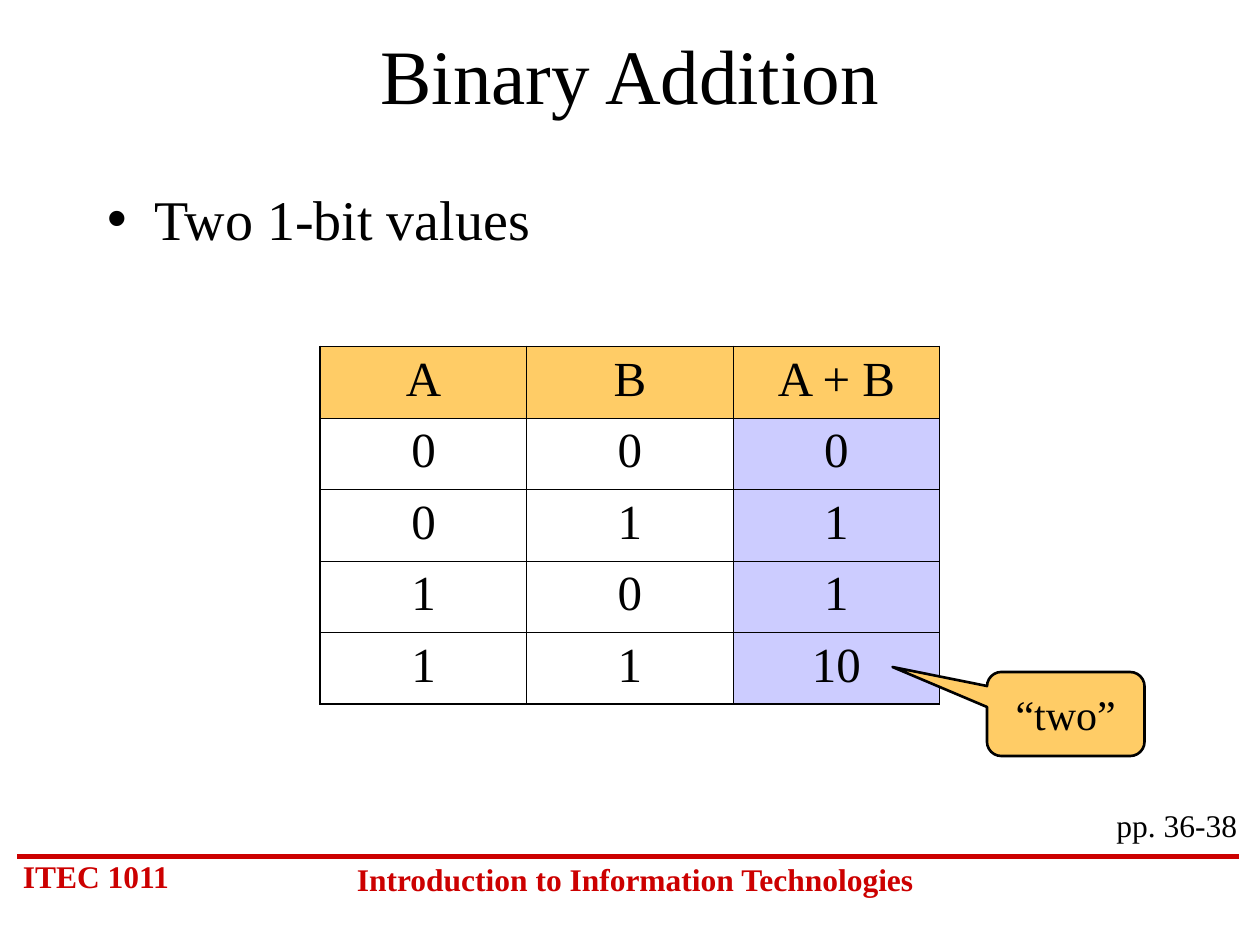
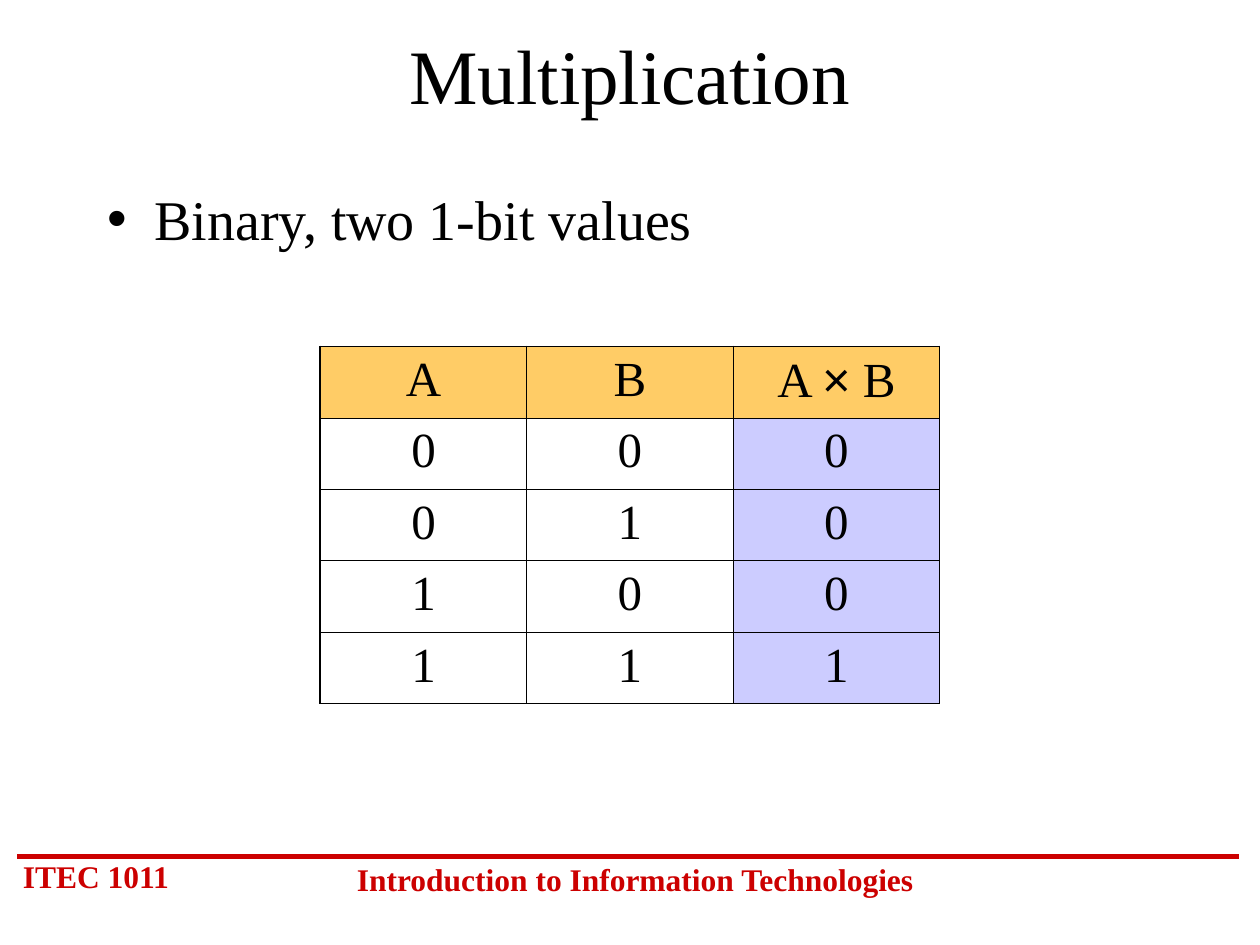
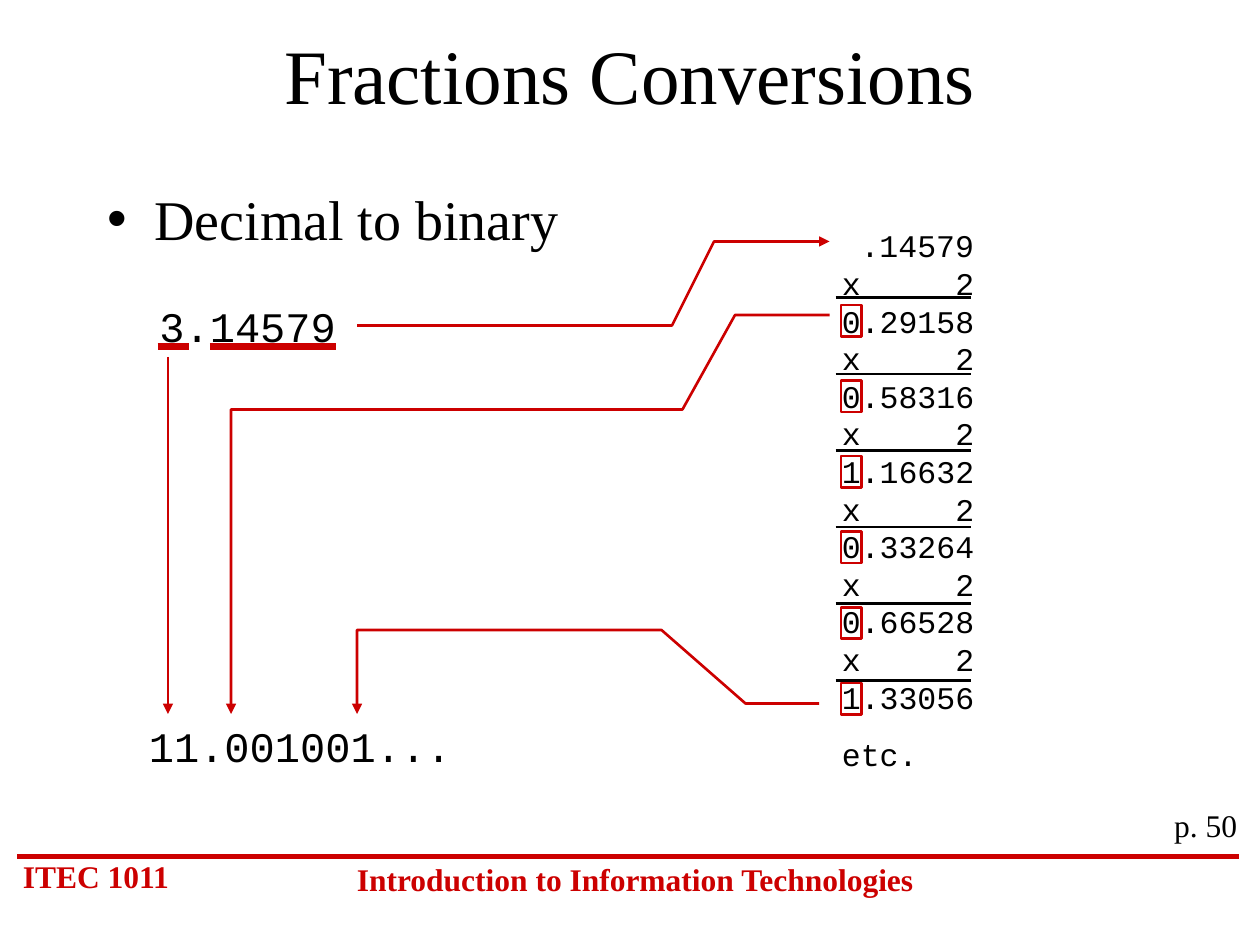
import lxml.etree
import pptx
import pptx.dml.color
import pptx.enum.shapes
import pptx.enum.text
import pptx.oxml.ns
import pptx.util

Pt = pptx.util.Pt
qn = pptx.oxml.ns.qn
ALIGN = pptx.enum.text.PP_ALIGN
SHAPE = pptx.enum.shapes.MSO_SHAPE

# Shared look
BLACK, RED, GOLD, LILAC = "000000", "CC0000", "FFCC66", "CCCCFF"
SERIF, SANS, MONO = "Times New Roman", "Arial", "Courier New"
TITLE = {"name": SERIF, "size": Pt(44)}
BODY = {"name": SERIF, "size": Pt(32)}
CELL = {"name": SERIF, "size": Pt(28), "bold": False}
NOTE = {"name": SERIF, "size": Pt(18)}
FOOTER = {"name": SERIF, "size": Pt(18), "bold": True}
CALLOUT = {"name": SERIF, "size": Pt(24)}
NUMBER = {"name": MONO, "size": Pt(24)}
WORKING = {"name": MONO, "size": Pt(18)}

TITLE_AREA = (54, 12, 612, 60)
BODY_AREA = (54, 102, 612, 324)
PAGES_AREA = (630, 457, 84, 29)
TABLE_AREA = (183, 198, 354, 204)
FOOTER_RULE = ((10, 489.6), (708, 489.6))
FOOTERS = [
    ("ITEC 1011", (6, 486, 108, 29), ALIGN.LEFT),
    ("Introduction to Information Technologies", (192, 488, 342, 29), ALIGN.CENTER),
]

# Slide content
SLIDES = [
    {
        "title": "Binary Addition",
        "bullet": "Two 1-bit values",
        "pages": "pp. 36-38",
        "truth_table": [("A", "B", "A + B"), "000", "011", "101", ("1", "1", "10")],
        "callout": "“two”",
    },
    {
        "title": "Multiplication",
        "bullet": "Binary, two 1-bit values",
        "truth_table": [("A", "B", "A × B"), "000", "010", "100", "111"],
    },
    {
        "title": "Fractions Conversions",
        "bullet": "Decimal to binary",
        "pages": "p. 50",
        "conversion": {
            "decimal": "3.14579",
            "binary": "11.001001...",
            "fraction": "\t.14579",
            "doubling": "x\t2",
            "products": ["0.29158", "0.58316", "1.16632", "0.33264", "0.66528", "1.33056"],
            "ending": "etc.",
        },
    },
]

# Places on the conversion slide
UNDERLINES = [((120, 198), (192, 198)), ((90, 198), (108, 198))]
WHOLE_ARROW = ((96, 204), (96, 408))
FRACTION_ARROWS = [
    [(204, 186), (384, 186), (408, 138), (474, 138)],
    [(474, 180), (420, 180), (390, 234), (132, 234), (132, 408)],
    [(468, 402), (426, 402), (378, 360), (204, 360), (204, 408)],
]
SUM_LEFT, SUM_RIGHT, SUM_TOP, SUM_STEP = 477.5, 555, 170, 43.75
DIGIT_LEFT, DIGIT_TOP, DIGIT_STEP = 480.5, 174.2, 43.2
WORKING_TABS = (10.7, 64.8)


def color(hex_value):
    return pptx.dml.color.RGBColor.from_string(hex_value)


def points(values):
    return [Pt(value) for value in values]


def style(paragraph, font_values, hex_value=BLACK, align=ALIGN.LEFT):
    paragraph.alignment = align
    for run in paragraph.runs:
        for name, value in font_values.items():
            setattr(run.font, name, value)
        run.font.color.rgb = color(hex_value)


def set_line(shape, hex_value, width, arrow=False):
    shape.line.color.rgb = color(hex_value)
    shape.line.width = Pt(width)
    if arrow:
        outline = shape.element.spPr.find(qn("a:ln"))
        lxml.etree.SubElement(outline, qn("a:tailEnd"), type="triangle")


def add_text(slide, text, area, font_values, hex_value=BLACK, align=ALIGN.LEFT):
    box = slide.shapes.add_textbox(*points(area))
    box.text_frame.word_wrap = True
    paragraph = box.text_frame.paragraphs[0]
    paragraph.text = text
    style(paragraph, font_values, hex_value, align)
    return box


def add_line(slide, ends, hex_value, width, arrow=False):
    start, end = ends
    line = slide.shapes.add_connector(
        pptx.enum.shapes.MSO_CONNECTOR.STRAIGHT, *points(start + end))
    set_line(line, hex_value, width, arrow)
    lxml.etree.SubElement(line.element.spPr, qn("a:effectLst"))
    return line


def add_bent_arrow(slide, corners):
    start, *rest = [points(corner) for corner in corners]
    builder = slide.shapes.build_freeform(*start)
    builder.add_line_segments(rest, close=False)
    arrow = builder.convert_to_shape()
    arrow.shadow.inherit = False
    arrow.fill.background()
    set_line(arrow, RED, 1.5, arrow=True)


def move_footer_to_layout(slide):
    layout = slide.slide_layout
    for placeholder in list(layout.placeholders):
        if placeholder.placeholder_format.idx >= 10:
            layout.shapes.element.remove(placeholder.element)
    parts = [add_line(slide, FOOTER_RULE, RED, 3)]
    parts += [add_text(slide, text, area, FOOTER, RED, align)
              for text, area, align in FOOTERS]
    for part in parts:
        layout.shapes.element.append(part.element)


def fill_placeholder(placeholder, text, area, font_values, align):
    for name, value in zip(("left", "top", "width", "height"), points(area)):
        setattr(placeholder, name, value)
    placeholder.text_frame.auto_size = pptx.enum.text.MSO_AUTO_SIZE.NONE
    paragraph = placeholder.text_frame.paragraphs[0]
    paragraph.text = text
    paragraph.space_before = Pt(0)
    style(paragraph, font_values, align=align)


def set_borders(cell, outer_sides):
    properties = cell._tc.get_or_add_tcPr()
    for side in "LRTB":
        width = Pt(1.08 if side in outer_sides else 0.45)
        border = lxml.etree.SubElement(properties, qn("a:ln" + side), w=str(width))
        fill = lxml.etree.SubElement(border, qn("a:solidFill"))
        lxml.etree.SubElement(fill, qn("a:srgbClr"), val=BLACK)


def add_truth_table(slide, rows):
    last_row, last_column = len(rows) - 1, len(rows[0]) - 1
    table = slide.shapes.add_table(len(rows), len(rows[0]), *points(TABLE_AREA)).table
    table.first_row = table.horz_banding = False
    for r, row in enumerate(rows):
        for c, text in enumerate(row):
            cell = table.cell(r, c)
            edges = {"L": c == 0, "R": c == last_column, "T": r == 0, "B": r == last_row}
            set_borders(cell, [side for side, outer in edges.items() if outer])
            if r == 0 or c == last_column:
                cell.fill.solid()
                cell.fill.fore_color.rgb = color(GOLD if r == 0 else LILAC)
            else:
                cell.fill.background()
            paragraph = cell.text_frame.paragraphs[0]
            for piece in filter(None, text.partition("×")):
                paragraph.add_run().text = piece
            style(paragraph, CELL, align=ALIGN.CENTER)
            for run in paragraph.runs:
                if run.text == "×":
                    run.font.name = SANS


def add_callout(slide, text):
    callout = slide.shapes.add_shape(
        SHAPE.ROUNDED_RECTANGULAR_CALLOUT, *points((564, 384, 90, 48)))
    for i, value in enumerate((-1.1, -0.56, 0.17)):
        callout.adjustments[i] = value
    callout.shadow.inherit = False
    callout.fill.solid()
    callout.fill.fore_color.rgb = color(GOLD)
    set_line(callout, BLACK, 1.5)
    callout.text_frame.vertical_anchor = pptx.enum.text.MSO_ANCHOR.MIDDLE
    callout.text_frame.text = text
    style(callout.text_frame.paragraphs[0], CALLOUT, align=ALIGN.CENTER)


def add_working(slide, conversion):
    lines = [conversion["fraction"]]
    for product in conversion["products"]:
        lines += [conversion["doubling"], product]
    frame = add_text(slide, "\n".join(lines), (474, 126, 117, 321), WORKING).text_frame
    steps = frame.paragraphs[0]
    ending = frame.add_paragraph()
    ending.text = conversion["ending"]
    ending.space_before = Pt(11.2)
    style(ending, WORKING)
    for paragraph in (steps, ending):
        paragraph.line_spacing = Pt(21.5)
    tabs = lxml.etree.SubElement(steps._p.get_or_add_pPr(), qn("a:tabLst"))
    for position in WORKING_TABS:
        lxml.etree.SubElement(tabs, qn("a:tab"), pos=str(Pt(position)), algn="l")

    # A sum line above each product and a frame around its whole digit
    for i in range(len(conversion["products"])):
        y = SUM_TOP + i * SUM_STEP
        add_line(slide, ((SUM_LEFT, y), (SUM_RIGHT, y)), BLACK, 1.5)
        digit = slide.shapes.add_shape(
            SHAPE.RECTANGLE, *points((DIGIT_LEFT, DIGIT_TOP + i * DIGIT_STEP, 12, 18)))
        digit.shadow.inherit = False
        digit.fill.background()
        set_line(digit, RED, 1.5)


def add_conversion(slide, conversion):
    add_text(slide, conversion["decimal"], (84, 168, 118, 36), NUMBER)
    add_text(slide, conversion["binary"], (78, 408, 210, 36), NUMBER)
    add_working(slide, conversion)
    for ends in UNDERLINES:
        add_line(slide, ends, RED, 4.5)
    add_line(slide, WHOLE_ARROW, RED, 1.5, arrow=True)
    for corners in FRACTION_ARROWS:
        add_bent_arrow(slide, corners)


def main():
    deck = pptx.Presentation()
    deck.slide_width, deck.slide_height = Pt(720), Pt(540)
    layout = deck.slide_layouts[1]
    for number, content in enumerate(SLIDES):
        slide = deck.slides.add_slide(layout)
        if number == 0:
            move_footer_to_layout(slide)
        fill_placeholder(slide.shapes.title, content["title"], TITLE_AREA, TITLE, ALIGN.CENTER)
        fill_placeholder(slide.placeholders[1], content["bullet"], BODY_AREA, BODY, ALIGN.LEFT)
        if "pages" in content:
            add_text(slide, content["pages"], PAGES_AREA, NOTE, align=ALIGN.RIGHT)
        if "truth_table" in content:
            add_truth_table(slide, content["truth_table"])
        if "callout" in content:
            add_callout(slide, content["callout"])
        if "conversion" in content:
            add_conversion(slide, content["conversion"])
    deck.save("out.pptx")


if __name__ == "__main__":
    main()
